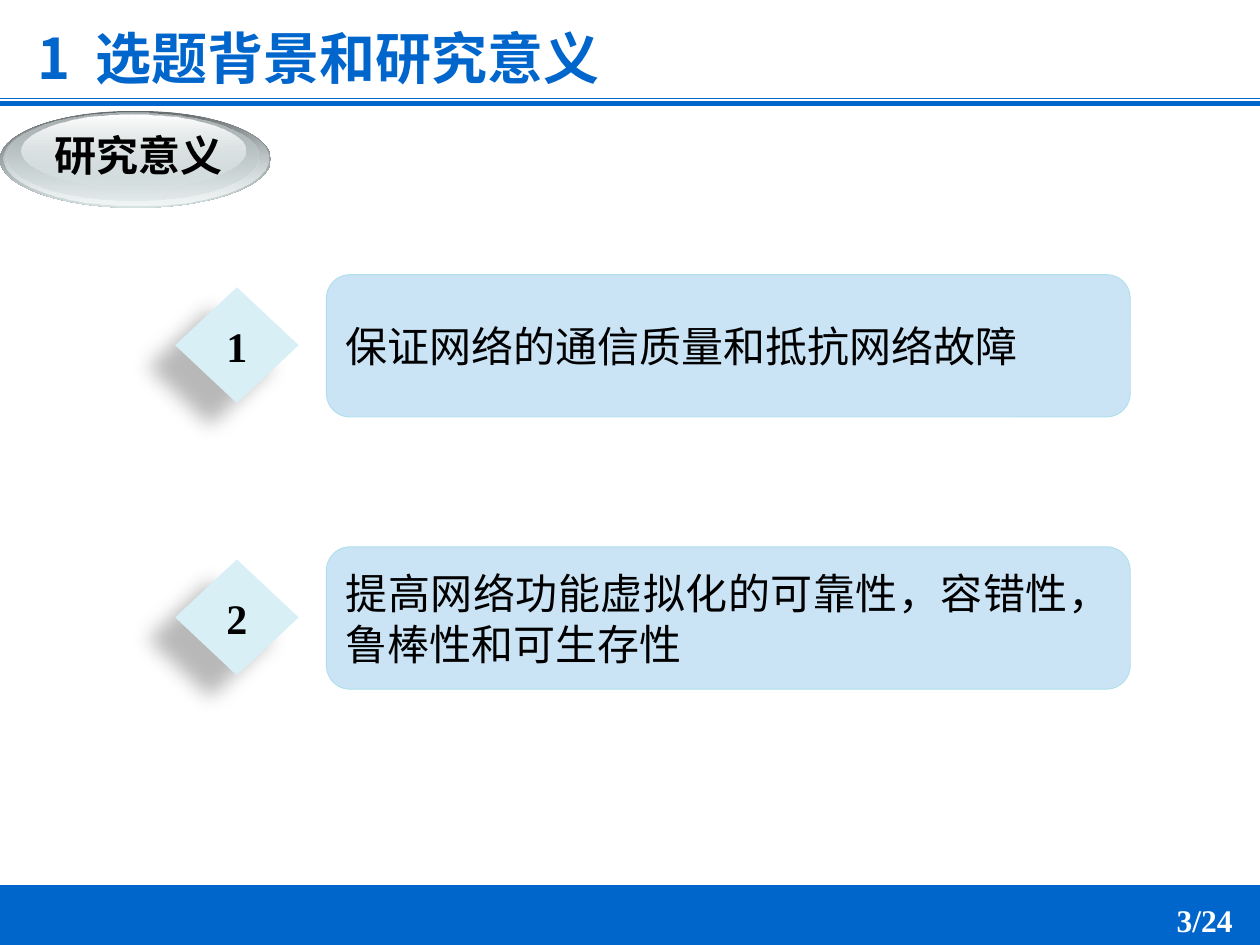
from dataclasses import dataclass

from lxml.etree import SubElement
from pptx import Presentation
from pptx.dml.color import RGBColor
from pptx.enum.shapes import MSO_CONNECTOR, MSO_SHAPE
from pptx.enum.text import MSO_ANCHOR, PP_ALIGN
from pptx.oxml.ns import qn
from pptx.util import Inches, Pt


@dataclass(frozen=True)
class Theme:
    blue: str = "0066CC"
    white: str = "FFFFFF"
    black: str = "000000"
    panel: str = "CAE4F6"
    panel_line: str = "AFDFEB"
    diamond: str = "D7EFF5"
    title_size: int = 32
    body_size: int = 24
    page_size: int = 18
    title_font: str = "Noto Sans CJK SC"
    label_font: str = "Arial"
    body_font: str = "Calibri"
    number_font: str = "Times New Roman"


class SlideBuilder:
    def __init__(self, prs, theme):
        self.theme = theme
        self.slide = prs.slides.add_slide(prs.slide_layouts[6])

    def set_text(self, tf, text, font, size, color, bold=False,
                 align=PP_ALIGN.LEFT, anchor=MSO_ANCHOR.TOP, wrap=True):
        for name, value in {"word_wrap": wrap, "vertical_anchor": anchor}.items():
            setattr(tf, name, value)
        p = tf.paragraphs[0]
        p.alignment = align
        runs = [text] if isinstance(text, str) else text
        for part in runs:
            r = p.add_run()
            r.text = part
            style = {"name": font, "size": Pt(size), "bold": bold}
            for name, value in style.items():
                setattr(r.font, name, value)
            r.font.color.rgb = RGBColor.from_string(color)
            rPr = r._r.get_or_add_rPr()
            SubElement(rPr, qn("a:ea")).set("typeface", font)
            if part == " ":
                rPr.set("spc", "700")

    def text(self, box, text, **style):
        sp = self.slide.shapes.add_textbox(*map(Inches, box))
        self.set_text(sp.text_frame, text, **style)

    def shape(self, kind, box, fill=None, line=None, width=0.5):
        sp = self.slide.shapes.add_shape(kind, *map(Inches, box))
        sp.shadow.inherit = False
        if fill:
            sp.fill.solid()
            sp.fill.fore_color.rgb = RGBColor.from_string(fill)
        if line:
            sp.line.color.rgb = RGBColor.from_string(line)
            sp.line.width = Pt(width)
        else:
            sp.line.fill.background()
        return sp

    def gradient_ellipse(self, box, stops):
        sp = self.shape(MSO_SHAPE.OVAL, box)
        sp.fill.gradient()
        sp.fill.gradient_angle = 270
        for stop, position, (color, opacity) in zip(sp.fill.gradient_stops, (0, 1), stops):
            stop.color.rgb = RGBColor.from_string(color)
            stop.position = position
            if opacity < 100:
                clr = stop._gs.find(qn("a:srgbClr"))
                SubElement(clr, qn("a:alpha")).set("val", str(opacity * 1000))

    def cast_shadow(self, sp, blur, distance, angle, opacity):
        effects = sp._element.spPr.find(qn("a:effectLst"))
        shadow = SubElement(effects, qn("a:outerShdw"))
        values = {"blurRad": Pt(blur), "dist": Pt(distance), "dir": angle * 60000,
                  "algn": "ctr", "rotWithShape": 0}
        for name, value in values.items():
            shadow.set(name, str(value))
        clr = SubElement(shadow, qn("a:srgbClr"))
        clr.set("val", self.theme.black)
        SubElement(clr, qn("a:alpha")).set("val", str(opacity * 1000))

    def rule(self, y, width):
        line = self.slide.shapes.add_connector(
            MSO_CONNECTOR.STRAIGHT, 0, Inches(y), Inches(10), Inches(y))
        line.line.color.rgb = RGBColor.from_string(self.theme.blue)
        line.line.width = Pt(width)
        SubElement(line._element.spPr, qn("a:effectLst"))

    def point(self, y, number, text):
        t = self.theme
        panel = self.shape(MSO_SHAPE.ROUNDED_RECTANGLE, (2.59, y, 6.38, 1.13),
                           t.panel, t.panel_line)
        self.set_text(panel.text_frame, text, t.body_font, t.body_size, t.black,
                      align=PP_ALIGN.JUSTIFY, anchor=MSO_ANCHOR.MIDDLE)
        diamond = self.shape(MSO_SHAPE.DIAMOND, (1.39, y + 0.1, 0.98, 0.92), t.diamond)
        self.cast_shadow(diamond, 11.8, 19.7, 141, 28)
        self.set_text(diamond.text_frame, str(number), t.number_font, t.body_size, t.black,
                      bold=True, align=PP_ALIGN.CENTER, anchor=MSO_ANCHOR.MIDDLE)


def main():
    prs = Presentation()
    prs.slide_width, prs.slide_height = Inches(10), Inches(7.5)
    t = Theme()
    s = SlideBuilder(prs, t)

    s.shape(MSO_SHAPE.RECTANGLE, (0, 7.03, 10, 0.5), t.blue, t.blue, 0.75)
    s.rule(0.82, 3)
    s.rule(0.78, 0.25)

    badge = [
        ((0, 0.88, 2.15, 0.77), (("636869", 100), ("D6E1E2", 100))),
        ((0.03, 0.88, 2.1, 0.75), (("D6E1E2", 0), ("F1F5F5", 100))),
        ((0.05, 0.89, 2, 0.7), (("AAB2B3", 100), ("D6E1E2", 48))),
        ((0.17, 0.91, 1.78, 0.57), (("FFFFFF", 100), ("D6E1E2", 38))),
    ]
    for box, stops in badge:
        s.gradient_ellipse(box, stops)
    s.text((0.32, 0.98, 1.56, 0.51), "研究意义", font=t.label_font, size=t.body_size,
           color=t.black, bold=True, align=PP_ALIGN.CENTER, wrap=False)
    s.text((0.2, 0.14, 5.37, 0.64), ("1", " ", "选题背景和研究意义"), font=t.title_font,
           size=t.title_size, color=t.blue, bold=True)

    points = ("保证网络的通信质量和抵抗网络故障",
              "提高网络功能虚拟化的可靠性，容错性，鲁棒性和可生存性")
    for i, text in enumerate(points):
        s.point(2.18 + 2.16 * i, i + 1, text)

    s.text((9.24, 7.1, 0.65, 0.4), "3/24", font=t.number_font, size=t.page_size,
           color=t.white, bold=True, wrap=False)
    prs.save("out.pptx")


if __name__ == "__main__":
    main()
